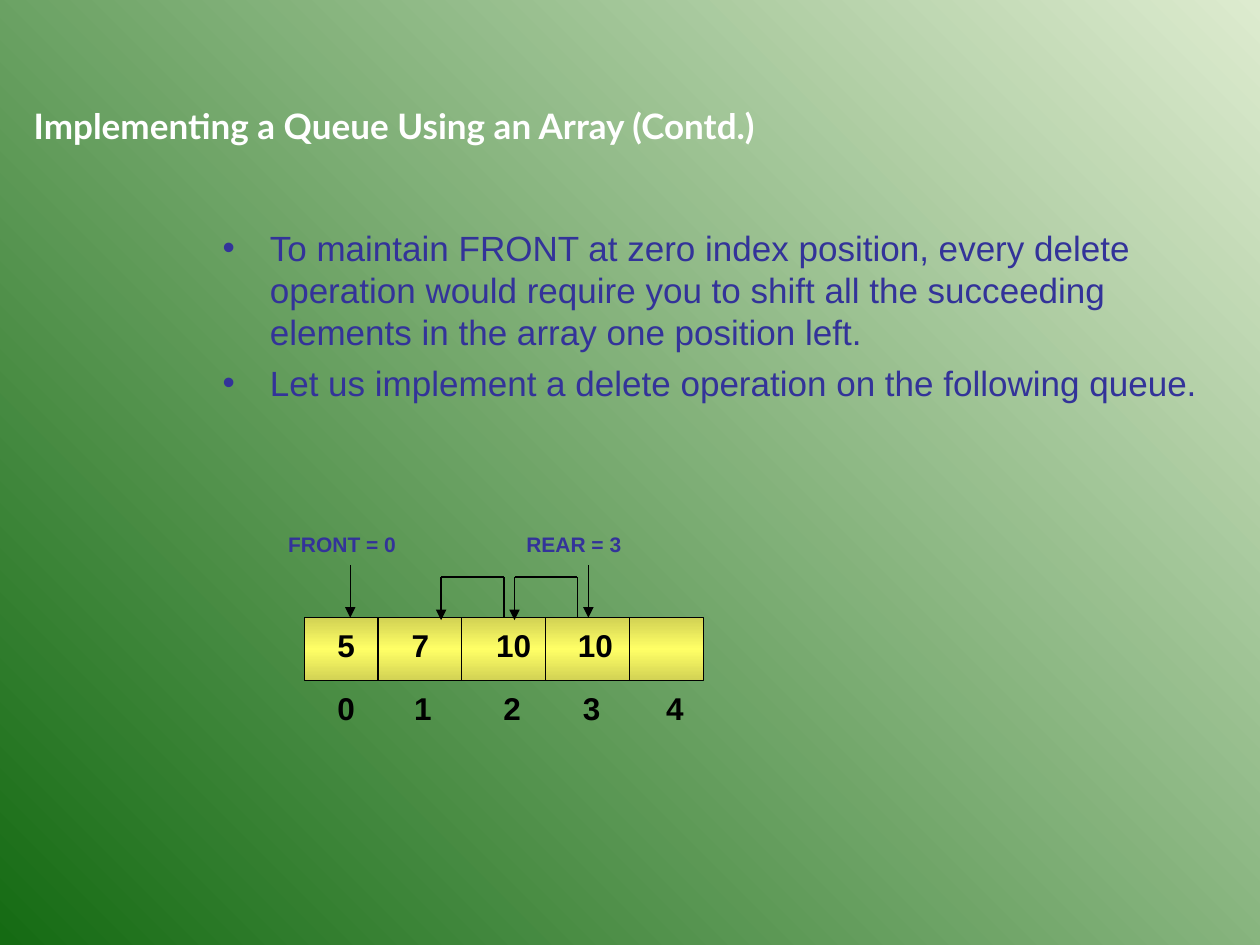
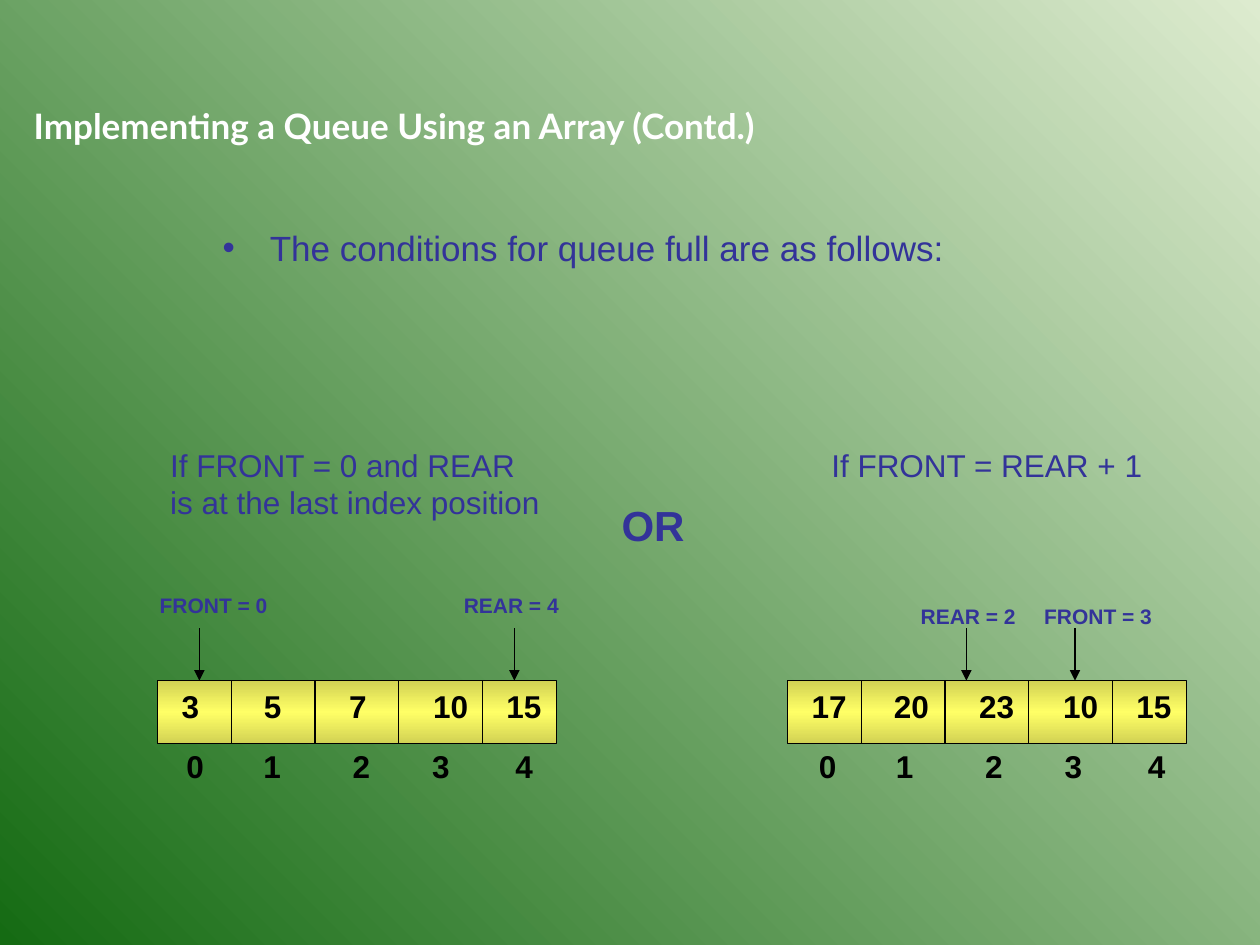
from copy import deepcopy

from lxml.etree import SubElement
from pptx import Presentation
from pptx.dml.color import RGBColor
from pptx.enum.shapes import MSO_CONNECTOR, MSO_SHAPE
from pptx.enum.text import MSO_AUTO_SIZE
from pptx.oxml.ns import qn
from pptx.util import Cm, Pt

COLORS = {
    "sky": "DDEBCF",
    "forest": "156B13",
    "bar_edge": "D2D254",
    "bar_middle": "FFFF66",
    "black": "000000",
    "indigo": "333399",
    "white": "FFFFFF",
}
TITLE = "Implementing a Queue Using an Array (Contd.)"
BAR_W, BAR_H = 8.04, 1.27
FIRST_CELL_W, CELL_W = 1.48, 1.69
VALUE_X = (0.23, 1.89, 3.61, 5.3, 6.78)
INDEX_X = (0, 1.55, 3.35, 4.95, 6.63)
ARROW_H = 1.06
HOP_H = 0.82


def rgb(name):
    return RGBColor.from_string(COLORS[name])


def set_gradient(fill, element, names, angle):
    fill.gradient()
    fill.gradient_angle = angle
    gs_list = element.find(".//" + qn("a:gsLst"))
    while len(gs_list) < len(names):
        gs_list.append(deepcopy(gs_list[-1]))
    for i, (stop, name) in enumerate(zip(fill.gradient_stops, names)):
        stop.position = i / (len(names) - 1)
        stop.color.rgb = rgb(name)


def add_run(p, text, size, color, bold=False, font="Arial"):
    r = p.add_run()
    r.text = text
    r.font.name = font
    r.font.size = Pt(size)
    r.font.bold = bold
    r.font.color.rgb = rgb(color)


def add_text(s, text, x, y, w, h, size, color, bold=True, font="Arial", wrap=False):
    tf = s.shapes.add_textbox(Cm(x), Cm(y), Cm(w), Cm(h)).text_frame
    tf.word_wrap = wrap
    tf.auto_size = MSO_AUTO_SIZE.SHAPE_TO_FIT_TEXT
    add_run(tf.paragraphs[0], text, size, color, bold, font)


def add_line(s, x1, y1, x2, y2, arrow=False):
    line = s.shapes.add_connector(
        MSO_CONNECTOR.STRAIGHT, Cm(x1), Cm(y1), Cm(x2), Cm(y2))
    line.line.color.rgb = rgb("black")
    line.line.width = Pt(0.75)
    if arrow:
        SubElement(line.line._get_or_add_ln(), qn("a:tailEnd"), type="triangle")
    SubElement(line._element.spPr, qn("a:effectLst"))


def add_bullets(s, texts, h):
    tf = s.shapes.add_textbox(Cm(4.24), Cm(4.45), Cm(20.32), Cm(h)).text_frame
    tf.word_wrap = True
    for i, text in enumerate(texts):
        p = tf.paragraphs[0] if i == 0 else tf.add_paragraph()
        if i:
            p.space_before = Pt(5)
        pPr = p._p.get_or_add_pPr()
        pPr.set("marL", str(Cm(0.95)))
        pPr.set("indent", str(-Cm(0.95)))
        color = SubElement(pPr, qn("a:buClr"))
        SubElement(color, qn("a:srgbClr"), val=COLORS["indigo"])
        SubElement(pPr, qn("a:buFont"), typeface="Arial")
        SubElement(pPr, qn("a:buChar"), char="•")
        add_run(p, text, 20, "indigo")


def add_queue(s, x, y, values, index_dx, index_dy=1.22, value_x=VALUE_X, value_dy=0):
    bar = s.shapes.add_shape(
        MSO_SHAPE.ROUNDED_RECTANGLE, Cm(x), Cm(y), Cm(BAR_W), Cm(BAR_H))
    bar.adjustments[0] = 0
    bar.shadow.inherit = False
    set_gradient(bar.fill, bar._element, ("bar_edge", "bar_middle", "bar_edge"), 270)
    bar.line.color.rgb = rgb("black")
    bar.line.width = Pt(0.75)
    for i in range(4):
        divider_x = x + FIRST_CELL_W + i * CELL_W
        add_line(s, divider_x, y, divider_x, y + BAR_H)
    for value, dx in zip(values, value_x):
        w = 1.22 if len(value) > 1 else 0.86
        add_text(s, value, x + dx, y + value_dy, w, 1.02, 18, "black")
    for i, dx in enumerate(INDEX_X):
        add_text(s, str(i), x + index_dx + dx, y + index_dy, 0.86, 1.02, 18, "black")


def add_pointer(s, text, label_x, label_y, arrow_x, bar_y):
    w = 2.8 if text.startswith("FRONT") else 2.55
    add_text(s, text, label_x, label_y, w, 0.76, 12, "indigo")
    add_line(s, arrow_x, bar_y - ARROW_H, arrow_x, bar_y, arrow=True)


def add_hop(s, x, bar_y):
    target_x, top = x - CELL_W * 0.75, bar_y - HOP_H
    add_line(s, x, bar_y, x, top)
    add_line(s, x, top, target_x, top)
    add_line(s, target_x, top, target_x, bar_y + 0.05, arrow=True)


def add_slide(prs):
    s = prs.slides.add_slide(prs.slide_layouts[6])
    set_gradient(s.background.fill, s._element, ("sky", "forest"), 225)
    add_text(s, TITLE, 0.43, 1.98, 19.89, 1.12, 20, "white", font="Lato", wrap=True)
    return s


def add_delete_slide(prs):
    s = add_slide(prs)
    add_bullets(s, (
        "To maintain FRONT at zero index position, every delete operation would "
        "require you to shift all the succeeding elements in the array one position left.",
        "Let us implement a delete operation on the following queue.",
    ), 4.88)
    bar_y = 12.45
    add_queue(s, 6.14, bar_y, ("5", "7", "10", "10"), 0.41, 1.32,
              (0.41, 1.91, 3.61, 5.26), 0.05)
    add_pointer(s, "FRONT = 0", 5.56, 10.59, 7.06, bar_y)
    add_pointer(s, "REAR = 3", 10.36, 10.59, 11.86, bar_y)
    for x in (10.16, 11.64):
        add_hop(s, x, bar_y)


def add_full_slide(prs):
    s = add_slide(prs)
    add_bullets(s, ("The conditions for queue full are as follows:",), 12.7)
    bar_y = 13.72
    add_text(s, "If FRONT = 0 and REAR is at the last index position",
             3.18, 8.86, BAR_W, 1.78, 18, "indigo", bold=False, wrap=True)
    add_queue(s, 3.18, bar_y, ("3", "5", "7", "10", "15"), 0.33)
    add_pointer(s, "FRONT = 0", 2.97, 11.82, 4.02, bar_y)
    add_pointer(s, "REAR = 4", 9.1, 11.82, 10.37, bar_y)
    add_text(s, "OR", 12.28, 9.95, 2.75, 1.27, 24, "indigo", wrap=True)
    add_text(s, "If FRONT = REAR + 1",
             16.51, 8.86, BAR_W, 1.02, 18, "indigo", bold=False, wrap=True)
    add_queue(s, 15.88, bar_y, ("17", "20", "23", "10", "15"), 0.38)
    add_pointer(s, "REAR = 2", 18.31, 12.04, 19.48, bar_y)
    add_pointer(s, "FRONT = 3", 20.8, 12.04, 21.67, bar_y)


def main():
    prs = Presentation()
    prs.slide_width, prs.slide_height = Cm(25.4), Cm(19.05)
    add_delete_slide(prs)
    add_full_slide(prs)
    prs.save("out.pptx")


if __name__ == "__main__":
    main()
